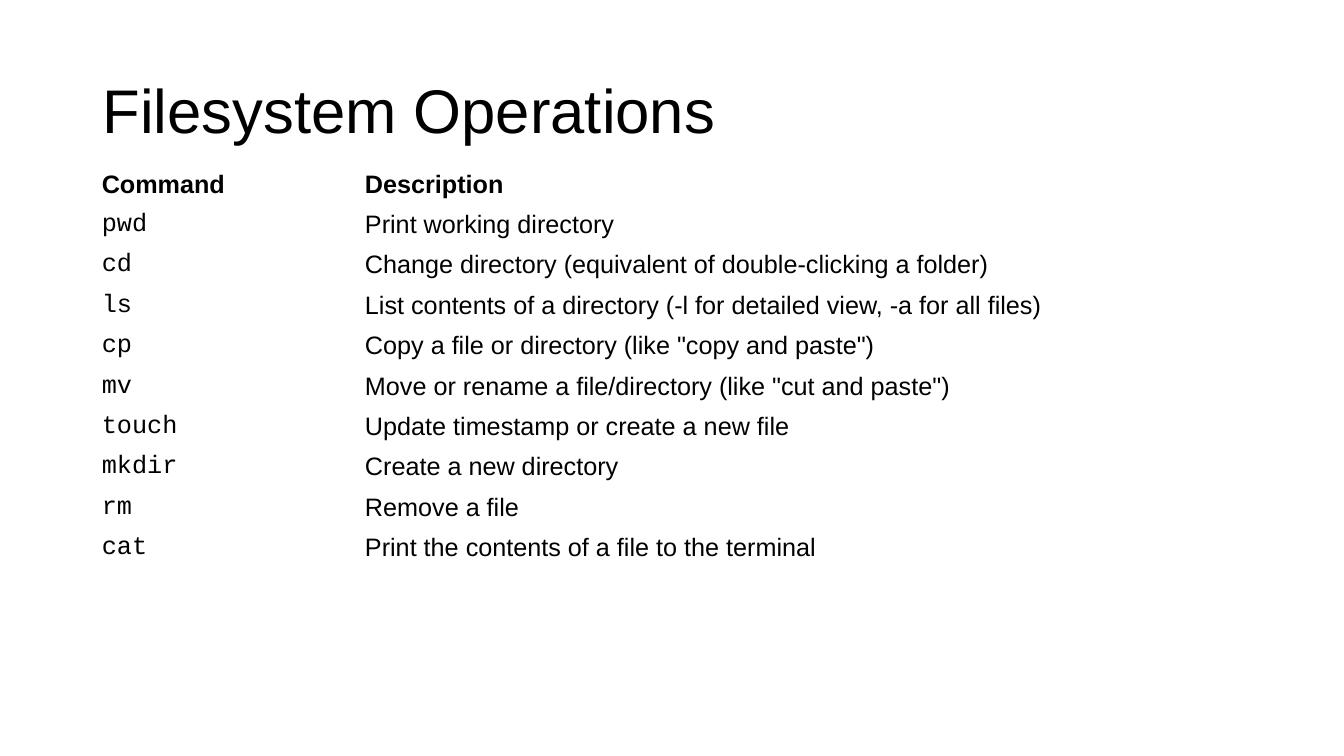
from typing import Any, NamedTuple

from pptx import Presentation
from pptx.dml.color import RGBColor
from pptx.enum.text import MSO_ANCHOR
from pptx.slide import Slide
from pptx.table import _Cell
from pptx.text.text import _Paragraph
from pptx.util import Pt

BLACK = RGBColor(0x00, 0x00, 0x00)
WHITE = RGBColor(0xFF, 0xFF, 0xFF)

TITLE_FORMAT = {"name": "Arial", "size": Pt(44), "bold": False}
HEADING_FORMAT = {"name": "Arial", "size": Pt(18), "bold": True}
COMMAND_FORMAT = {"name": "Courier New", "size": Pt(18), "bold": False}
DESCRIPTION_FORMAT = {"name": "Arial", "size": Pt(18), "bold": False}

COLUMN_WIDTHS = (Pt(188), Pt(640))
ROW_HEIGHT = Pt(18)  # rows grow to fit their text


class Operation(NamedTuple):
    command: str
    description: str


HEADINGS = Operation("Command", "Description")
OPERATIONS = [
    Operation("pwd", "Print working directory"),
    Operation("cd", "Change directory (equivalent of double-clicking a folder)"),
    Operation("ls", "List contents of a directory (-l for detailed view, -a for all files)"),
    Operation("cp", 'Copy a file or directory (like "copy and paste")'),
    Operation("mv", 'Move or rename a file/directory (like "cut and paste")'),
    Operation("touch", "Update timestamp or create a new file"),
    Operation("mkdir", "Create a new directory"),
    Operation("rm", "Remove a file"),
    Operation("cat", "Print the contents of a file to the terminal"),
]


def write(paragraph: _Paragraph, text: str, font_format: dict[str, Any]) -> None:
    run = paragraph.add_run()
    run.text = text
    for attribute, value in font_format.items():
        setattr(run.font, attribute, value)
    run.font.color.rgb = BLACK


def fill_cell(cell: _Cell, text: str, font_format: dict[str, Any]) -> None:
    cell.fill.background()
    cell.vertical_anchor = MSO_ANCHOR.MIDDLE
    write(cell.text_frame.paragraphs[0], text, font_format)


def add_title(slide: Slide, text: str) -> None:
    title = slide.shapes.add_textbox(Pt(66.24), Pt(28.8), Pt(828), Pt(104.4)).text_frame
    title.word_wrap = True
    title.vertical_anchor = MSO_ANCHOR.MIDDLE
    title.paragraphs[0].line_spacing = 0.9
    write(title.paragraphs[0], text, TITLE_FORMAT)


def add_operations(slide: Slide) -> None:
    entries = [HEADINGS, *OPERATIONS]
    frame = slide.shapes.add_table(
        len(entries), len(COLUMN_WIDTHS), Pt(65.52), Pt(117.36),
        sum(COLUMN_WIDTHS), ROW_HEIGHT * len(entries),
    )
    operations = frame.table
    operations.first_row = False
    operations.horz_banding = False
    for column, width in zip(operations.columns, COLUMN_WIDTHS):
        column.width = width

    for row, entry in zip(operations.rows, entries):
        formats = (COMMAND_FORMAT, DESCRIPTION_FORMAT)
        if entry is HEADINGS:
            formats = (HEADING_FORMAT, HEADING_FORMAT)
        for cell, text, font_format in zip(row.cells, entry, formats):
            fill_cell(cell, text, font_format)
    frame.height = Pt(288)


def main() -> None:
    presentation = Presentation()
    presentation.slide_width = Pt(960)
    presentation.slide_height = Pt(540)
    slide = presentation.slides.add_slide(presentation.slide_layouts[6])
    slide.background.fill.solid()
    slide.background.fill.fore_color.rgb = WHITE

    # Title above the command table
    add_title(slide, "Filesystem Operations")
    add_operations(slide)
    presentation.save("out.pptx")


if __name__ == "__main__":
    main()
